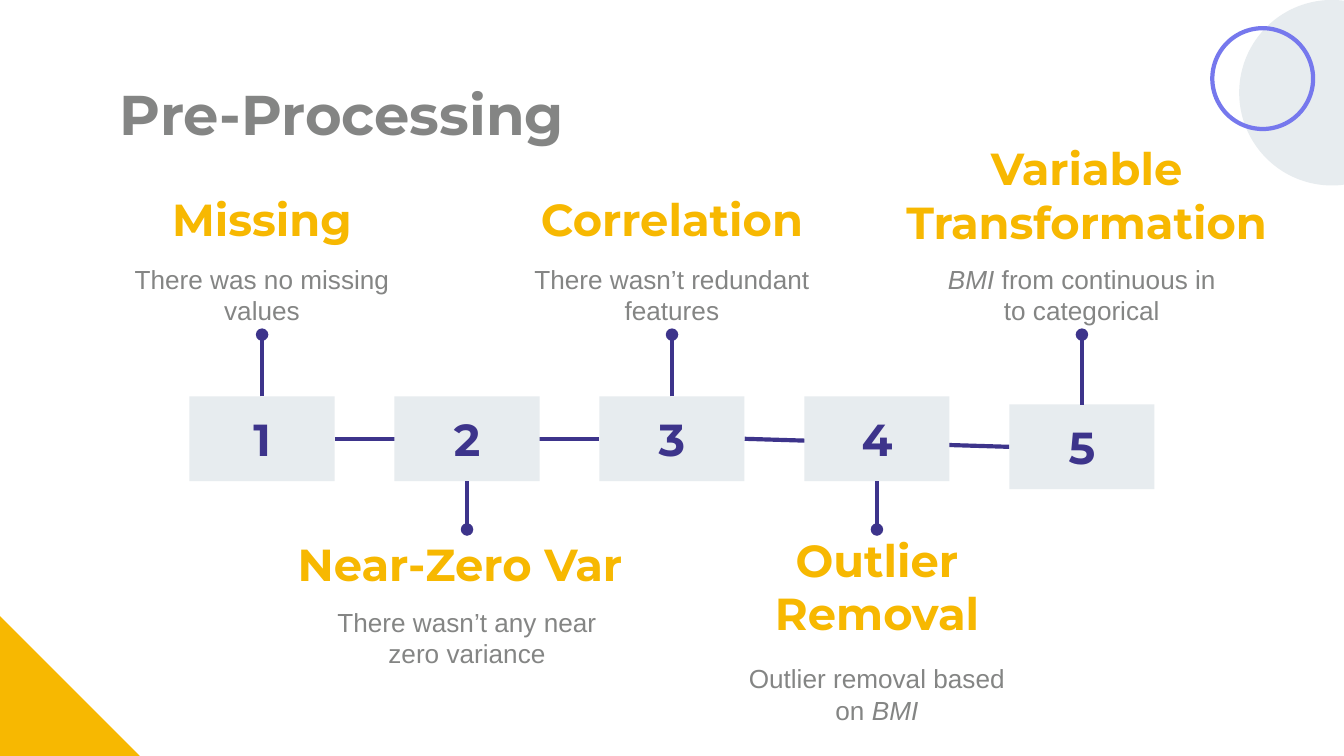
from dataclasses import dataclass

from lxml import etree
from pptx import Presentation
from pptx import util as u
from pptx.dml.color import RGBColor
from pptx.enum import shapes, text
from pptx.oxml import ns

GREY = RGBColor(0x84, 0x85, 0x84)
PALE = RGBColor(0xE7, 0xEC, 0xEF)
YELLOW = RGBColor(0xF7, 0xB8, 0x01)
INDIGO = RGBColor(0x3D, 0x34, 0x8B)
VIOLET = RGBColor(0x76, 0x78, 0xED)

PAGE_WIDTH = 10
PAGE_HEIGHT = PAGE_WIDTH * 9 / 16
BOX_WIDTH, BOX_HEIGHT = 1.08, 0.63
CAPTION_WIDTH, CAPTION_HEIGHT = 2.34, 0.63
FIRST_CENTRE, LAST_CENTRE = 1.95, 8.05
UPPER_DOT, LOWER_DOT = 2.49, 3.94


@dataclass
class Step:
    heading: str
    heading_box: tuple
    caption: tuple
    caption_top: float
    top: float = 2.95
    above: bool = True


STEPS = [
    Step("Missing", (0.78, 1.38, 2.34, 0.55), ("There was no missing values",), 1.86),
    Step("Near-Zero Var ", (2.1, 3.94, 2.74, 0.55),
         ("There wasn’t any near zero variance",), 4.41, above=False),
    Step("Correlation", (3.83, 1.38, 2.34, 0.55),
         ("There wasn’t redundant features",), 1.86),
    Step("Outlier Removal", (5.18, 3.94, 2.69, 0.92),
         ("Outlier removal based on ", "BMI"), 4.83, above=False),
    Step("Variable Transformation", (6.63, 1.4, 2.91, 0.55),
         ("BMI", " from continuous in to categorical"), 1.86, top=3.01),
]


def inches(*lengths):
    return [u.Inches(length) for length in lengths]


def write(shape, spans, font, size, colour, bold=False,
          anchor=text.MSO_ANCHOR.TOP, align=text.PP_ALIGN.CENTER):
    frame = shape.text_frame
    frame.word_wrap = True
    frame.auto_size = text.MSO_AUTO_SIZE.NONE
    frame.vertical_anchor = anchor
    frame.margin_left = frame.margin_right = u.Inches(0.1)
    frame.margin_top = frame.margin_bottom = u.Inches(0.1)
    para = frame.paragraphs[0]
    para.alignment = align
    para.font.name, para.font.size, para.font.bold = font, u.Pt(size), bold
    para.font.color.rgb = colour
    for words in spans:
        span = para.add_run()
        span.text = words
        if words == "BMI":
            span.font.italic = True


def add_solid(page, kind, box, fill):
    shape = page.shapes.add_shape(kind, *inches(*box))
    shape.shadow.inherit = False
    shape.fill.solid()
    shape.fill.fore_color.rgb = fill
    shape.line.fill.background()
    return shape


def add_line(page, start, end, dot=False):
    line = page.shapes.add_connector(
        shapes.MSO_CONNECTOR.STRAIGHT, *inches(*start, *end))
    line.line.color.rgb = INDIGO
    line.line.width = u.Pt(2.25)
    if dot:
        tail = etree.SubElement(line.line._get_or_add_ln(), ns.qn("a:tailEnd"))
        tail.set("type", "oval")
    etree.SubElement(line._element.spPr, ns.qn("a:effectLst"))


def add_decoration(page):
    oval = shapes.MSO_SHAPE.OVAL
    add_solid(page, oval, (9.22, 0, 1.38, 1.38), PALE)
    ring = add_solid(page, oval, (9.02, 0.21, 0.75, 0.75), PALE)
    ring.fill.background()
    ring.line.color.rgb = VIOLET
    ring.line.width = u.Pt(2.27)
    corner = 1.04
    add_solid(page, shapes.MSO_SHAPE.RIGHT_TRIANGLE,
              (0, PAGE_HEIGHT - corner, corner, corner), YELLOW)


def add_title(page, box):
    title = page.shapes.title
    title.left, title.top, title.width, title.height = inches(*box)
    write(title, ["Pre-Processing"], "Montserrat", 30, GREY, bold=True,
          align=text.PP_ALIGN.LEFT)


def add_step(page, number, step, centre):
    box = (centre - BOX_WIDTH / 2, step.top, BOX_WIDTH, BOX_HEIGHT)
    square = add_solid(page, shapes.MSO_SHAPE.RECTANGLE, box, PALE)
    write(square, [str(number)], "Montserrat", 24, INDIGO, bold=True,
          anchor=text.MSO_ANCHOR.MIDDLE)

    if step.above:
        edge, dot = step.top, UPPER_DOT
    else:
        edge, dot = step.top + BOX_HEIGHT, LOWER_DOT
    add_line(page, (centre, edge), (centre, dot), dot=True)

    heading = page.shapes.add_textbox(*inches(*step.heading_box))
    write(heading, [step.heading], "Montserrat", 24, YELLOW, bold=True,
          anchor=text.MSO_ANCHOR.BOTTOM)
    caption = page.shapes.add_textbox(*inches(
        centre - CAPTION_WIDTH / 2, step.caption_top, CAPTION_WIDTH, CAPTION_HEIGHT))
    write(caption, step.caption, "Arial", 14, GREY)


def add_timeline(page):
    pitch = (LAST_CENTRE - FIRST_CENTRE) / (len(STEPS) - 1)
    centres = [FIRST_CENTRE + pitch * index for index in range(len(STEPS))]
    for first in (0, 2):
        last = first + 2
        add_line(page,
                 (centres[first] + BOX_WIDTH / 2, STEPS[first].top + BOX_HEIGHT / 2),
                 (centres[last] - BOX_WIDTH / 2, STEPS[last].top + BOX_HEIGHT / 2))
    for number, (step, centre) in enumerate(zip(STEPS, centres), 1):
        add_step(page, number, step, centre)


def main():
    deck = Presentation()
    deck.slide_width, deck.slide_height = inches(PAGE_WIDTH, PAGE_HEIGHT)
    page = deck.slides.add_slide(deck.slide_layouts[5])
    add_decoration(page)
    add_title(page, (0.79, 0.49, 8.43, 0.63))
    add_timeline(page)
    deck.save("out.pptx")


if __name__ == "__main__":
    main()
